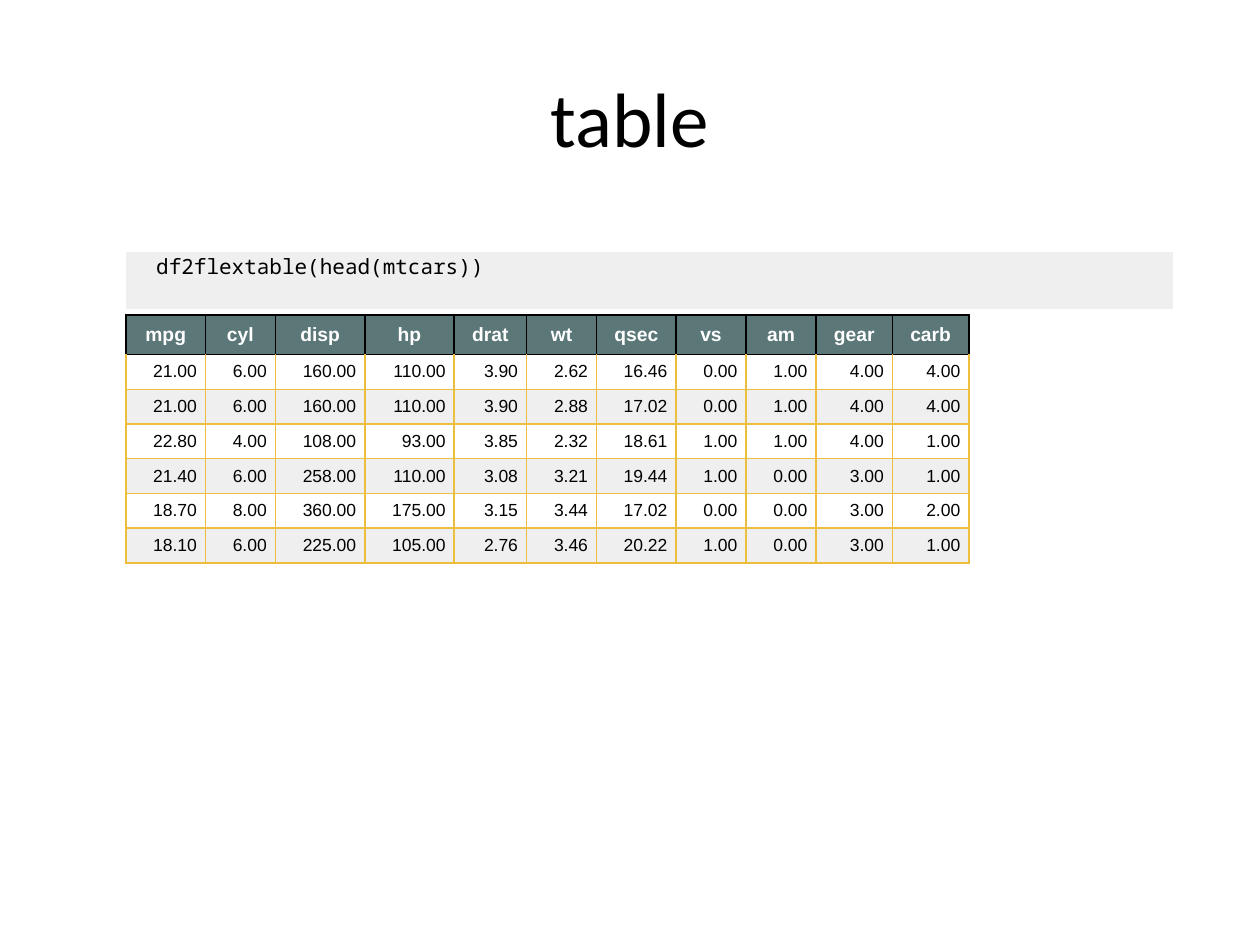
from lxml import etree
from pptx import Presentation
from pptx.dml.color import RGBColor
from pptx.enum.text import MSO_ANCHOR, PP_ALIGN
from pptx.oxml.ns import qn
from pptx.util import Pt

TOP, MIDDLE = MSO_ANCHOR.TOP, MSO_ANCHOR.MIDDLE
LEFT, CENTER, RIGHT = PP_ALIGN.LEFT, PP_ALIGN.CENTER, PP_ALIGN.RIGHT

BLACK = RGBColor(0x00, 0x00, 0x00)
WHITE = RGBColor(0xFF, 0xFF, 0xFF)
GRAY = RGBColor(0xEF, 0xEF, 0xEF)
TEAL = RGBColor(0x5B, 0x77, 0x78)
GOLD = RGBColor(0xED, 0xBD, 0x3E)

PLAIN = "{2D5ABB26-0587-4C30-8999-92F81FD0307C}"
SIDES = ("lnL", "lnR", "lnT", "lnB")
PAD = Pt(5)

HEADS = "mpg cyl disp hp drat wt qsec vs am gear carb".split()
WIDTHS = [45.4, 40, 51.1, 51.1, 41.4, 40, 45.4, 40, 40, 43.7, 43.7]
CARS = [
    [21, 6, 160, 110, 3.9, 2.62, 16.46, 0, 1, 4, 4],
    [21, 6, 160, 110, 3.9, 2.88, 17.02, 0, 1, 4, 4],
    [22.8, 4, 108, 93, 3.85, 2.32, 18.61, 1, 1, 4, 1],
    [21.4, 6, 258, 110, 3.08, 3.21, 19.44, 1, 0, 3, 1],
    [18.7, 8, 360, 175, 3.15, 3.44, 17.02, 0, 0, 3, 2],
    [18.1, 6, 225, 105, 2.76, 3.46, 20.22, 1, 0, 3, 1],
]


def set_font(para, name, size, color, bold=False):
    font = para.font
    font.name, font.size, font.bold = name, Pt(size), bold
    font.color.rgb = color


def add_title(slide, text):
    title = slide.shapes.title
    title.left, title.top = Pt(36), Pt(21.6)
    title.width, title.height = Pt(648), Pt(90)
    frame = title.text_frame
    frame.text = text
    frame.vertical_anchor = MIDDLE
    para = frame.paragraphs[0]
    para.alignment = CENTER
    set_font(para, "Calibri", 44, BLACK)


def add_grid(slide, top, widths, heights):
    frame = slide.shapes.add_table(
        len(heights), len(widths), Pt(72), Pt(top),
        Pt(sum(widths)), Pt(sum(heights)))
    table = frame.table
    table.first_row = table.horz_banding = False
    table._tbl.tblPr.find(qn("a:tableStyleId")).text = PLAIN
    for col, width in zip(table.columns, widths):
        col.width = Pt(width)
    for row, height in zip(table.rows, heights):
        row.height = Pt(height)
    return table


def set_fill(cell, color):
    if color is None:
        cell.fill.background()
    else:
        cell.fill.solid()
        cell.fill.fore_color.rgb = color


def set_edges(cell, colors):
    props = cell._tc.get_or_add_tcPr()
    for side, color in zip(SIDES, colors):
        line = etree.SubElement(props, qn("a:" + side), w=str(Pt(1)))
        fill = etree.SubElement(line, qn("a:solidFill"))
        etree.SubElement(fill, qn("a:srgbClr"), val=str(color))


def set_text(cell, text, align, anchor):
    cell.margin_left = cell.margin_right = 0
    cell.margin_top = cell.margin_bottom = 0
    cell.vertical_anchor = anchor
    cell.text = text
    para = cell.text_frame.paragraphs[0]
    para.alignment = align
    return para


def pad_para(para):
    para.space_before = para.space_after = Pt(2)
    props = para._p.get_or_add_pPr()
    for key in ("marL", "marR"):
        props.set(key, str(PAD))
    props.set("indent", "0")


def add_code(slide, text):
    table = add_grid(slide, 144, [14.4, 581], [32.6])
    for cell in table.iter_cells():
        set_fill(cell, GRAY)
    para = set_text(table.cell(0, 1), text, LEFT, TOP)
    set_font(para, "Noto Sans Mono", 12, BLACK)


def add_cars(slide):
    table = add_grid(slide, 180, WIDTHS, [22.6] + [19.85] * len(CARS))
    for col, head in enumerate(HEADS):
        cell = table.cell(0, col)
        set_edges(cell, [BLACK] * 4)
        set_fill(cell, TEAL)
        para = set_text(cell, head, CENTER, MIDDLE)
        pad_para(para)
        set_font(para, "Arial", 11, WHITE, True)
    for row, car in enumerate(CARS, 1):
        edge = BLACK if row == 1 else GOLD
        for col, value in enumerate(car):
            cell = table.cell(row, col)
            set_edges(cell, [GOLD, GOLD, edge, GOLD])
            set_fill(cell, None if row % 2 else GRAY)
            para = set_text(cell, f"{value:.2f}", RIGHT, MIDDLE)
            pad_para(para)
            set_font(para, "Arial", 10, BLACK)


def main():
    deck = Presentation()
    deck.slide_width, deck.slide_height = Pt(720), Pt(540)
    slide = deck.slides.add_slide(deck.slide_layouts[5])
    add_title(slide, "table")
    add_code(slide, "df2flextable(head(mtcars))")
    add_cars(slide)
    deck.save("out.pptx")


main()
